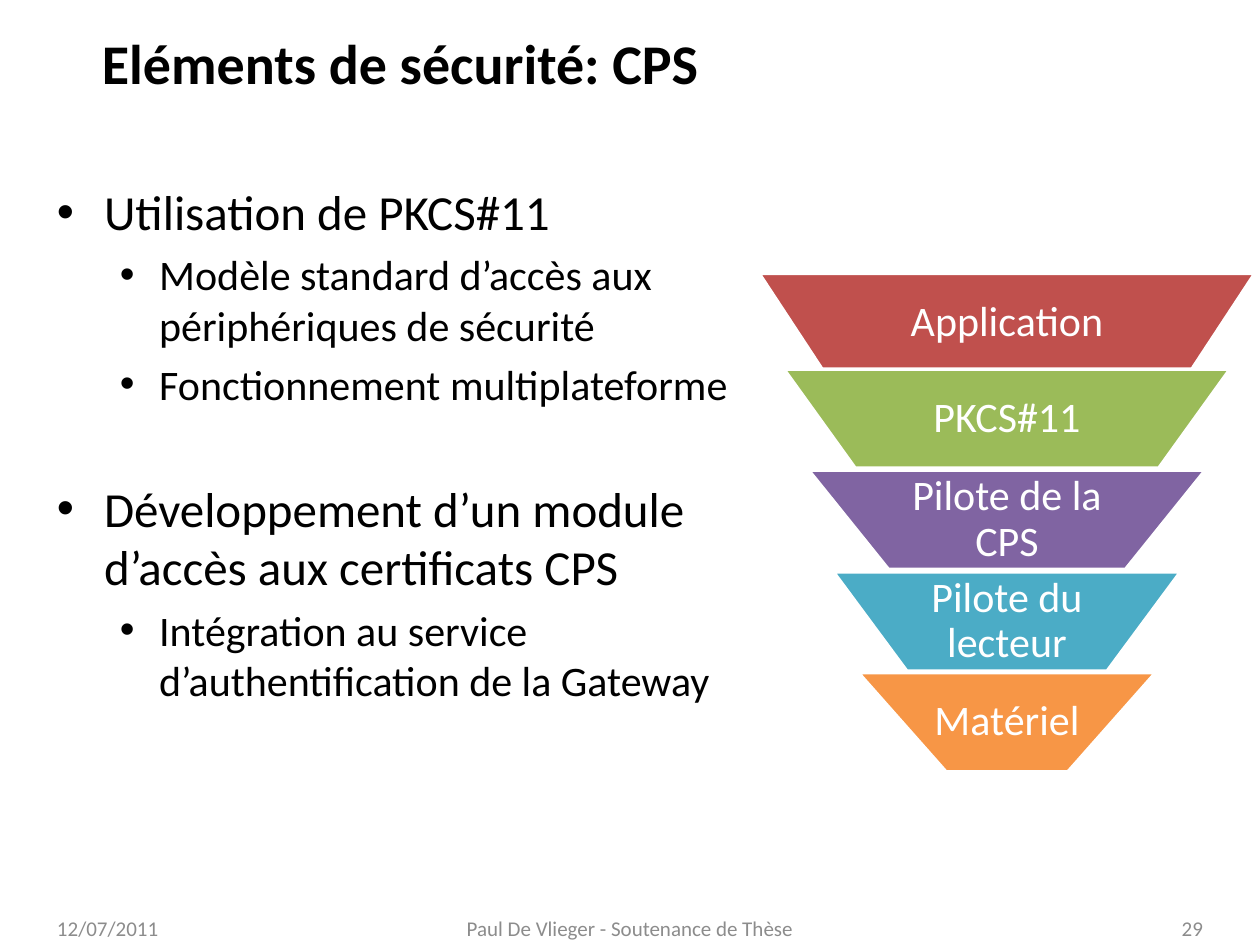
from lxml.etree import SubElement
from pptx import Presentation
from pptx.dml.color import RGBColor
from pptx.enum.text import MSO_ANCHOR, PP_ALIGN
from pptx.oxml.ns import qn
from pptx.util import Cm, Pt

FONT = "Calibri"
# text, level, space before (pt)
BULLETS = [
    ("Utilisation de PKCS#11", 0, 0),
    ("Modèle standard d’accès aux périphériques de sécurité", 1, 4.8),
    ("Fonctionnement multiplateforme", 1, 4.8),
    ("Développement d’un module d’accès aux certificats CPS", 0, 39.7),
    ("Intégration au service d’authentification de la Gateway", 1, 4.8),
]
# left margin (cm), hanging indent (cm), size (pt) by level
LEVELS = [(0.95, 0.95, 28), (2.06, 0.79, 24)]
# text, colour, top offset, bottom width, side inset (cm)
LAYERS = [
    ("Application", "C0504D", 0, 7.37, 2.1),
    ("PKCS#11", "9BBB59", 1.93, 6.12, 1.75),
    ("Pilote de la CPS", "8064A2", 3.97, 4.78, 1.42),
    ("Pilote du lecteur", "4BACC6", 6.02, 4.04, 1.35),
    ("Matériel", "F79646", 8.05, 2.46, 1),
]
LAYER_HEIGHT = 2
LAYER_NARROWING = 1


def rgb(value):
    return RGBColor.from_string(value)


def format_runs(p, size, color="000000", bold=False):
    for r in p.runs:
        r.font.name = FONT
        r.font.size = Pt(size)
        r.font.bold = bold
        r.font.color.rgb = rgb(color)


def add_text_box(s, left, top, width, height):
    tf = s.shapes.add_textbox(Cm(left), Cm(top), Cm(width), Cm(height)).text_frame
    tf.word_wrap = True
    return tf


def place_title(s, left, top, width, height):
    sp = s.shapes.title
    sp.left, sp.top, sp.width, sp.height = Cm(left), Cm(top), Cm(width), Cm(height)
    tf = sp.text_frame
    tf.text = "Eléments de sécurité: CPS"
    tf.vertical_anchor = MSO_ANCHOR.MIDDLE
    p = tf.paragraphs[0]
    p.alignment = PP_ALIGN.LEFT
    format_runs(p, 32, bold=True)


def add_bullets(s, left, top, width, height):
    tf = add_text_box(s, left, top, width, height)
    for i, (text, level, space) in enumerate(BULLETS):
        p = tf.add_paragraph() if i else tf.paragraphs[0]
        p.text = text
        p.level = level
        p.space_before = Pt(space)
        margin, hanging, size = LEVELS[level]
        pPr = p._p.get_or_add_pPr()
        pPr.set("marL", str(Cm(margin)))
        pPr.set("indent", str(-Cm(hanging)))
        SubElement(pPr, qn("a:buFont")).set("typeface", "Arial")
        SubElement(pPr, qn("a:buChar")).set("char", "•")
        format_runs(p, size)


def add_funnel(s, left, top, width):
    center = left + width / 2
    for i, (text, color, offset, bottom_width, inset) in enumerate(LAYERS):
        half_top = (width - i * LAYER_NARROWING) / 2
        half_bottom = bottom_width / 2
        y = top + offset
        bottom = y + LAYER_HEIGHT
        builder = s.shapes.build_freeform(Cm(center + half_top), Cm(y))
        builder.add_line_segments([
            (Cm(center + half_bottom), Cm(bottom)),
            (Cm(center - half_bottom), Cm(bottom)),
            (Cm(center - half_top), Cm(y)),
        ])
        sp = builder.convert_to_shape()
        sp.shadow.inherit = False
        sp.fill.solid()
        sp.fill.fore_color.rgb = rgb(color)
        sp.line.color.rgb = rgb("FFFFFF")
        sp.line.width = Pt(2)
        tf = sp.text_frame
        tf.text = text
        tf.word_wrap = True
        tf.vertical_anchor = MSO_ANCHOR.MIDDLE
        tf.margin_left = tf.margin_right = Cm(inset)
        tf.margin_top = tf.margin_bottom = Cm(0.08)
        p = tf.paragraphs[0]
        p.alignment = PP_ALIGN.CENTER
        p.line_spacing = 0.9
        format_runs(p, 24, "FFFFFF")


def add_footer(s, left, top, width, height):
    side, middle = 5.93, 8.05
    parts = [
        ("12/07/2011", 0, side, PP_ALIGN.LEFT),
        ("Paul De Vlieger - Soutenance de Thèse", (width - middle) / 2, middle, PP_ALIGN.CENTER),
        ("29", width - side, side, PP_ALIGN.RIGHT),
    ]
    for text, offset, part_width, alignment in parts:
        tf = add_text_box(s, left + offset, top, part_width, height)
        tf.text = text
        tf.vertical_anchor = MSO_ANCHOR.MIDDLE
        p = tf.paragraphs[0]
        p.alignment = alignment
        format_runs(p, 12, "8C8C8C")


def main():
    prs = Presentation()
    prs.slide_width, prs.slide_height = Cm(25.4), Cm(19.05)
    s = prs.slides.add_slide(prs.slide_layouts[5])
    place_title(s, 1.8, 0.15, 15.5, 2.2)
    add_bullets(s, 0.9, 3.54, 14.9, 14.4)
    add_footer(s, 0.9, 18.42, 23.6, 0.6)
    add_funnel(s, 15.3, 5.51, 10)
    prs.save("out.pptx")


if __name__ == "__main__":
    main()
